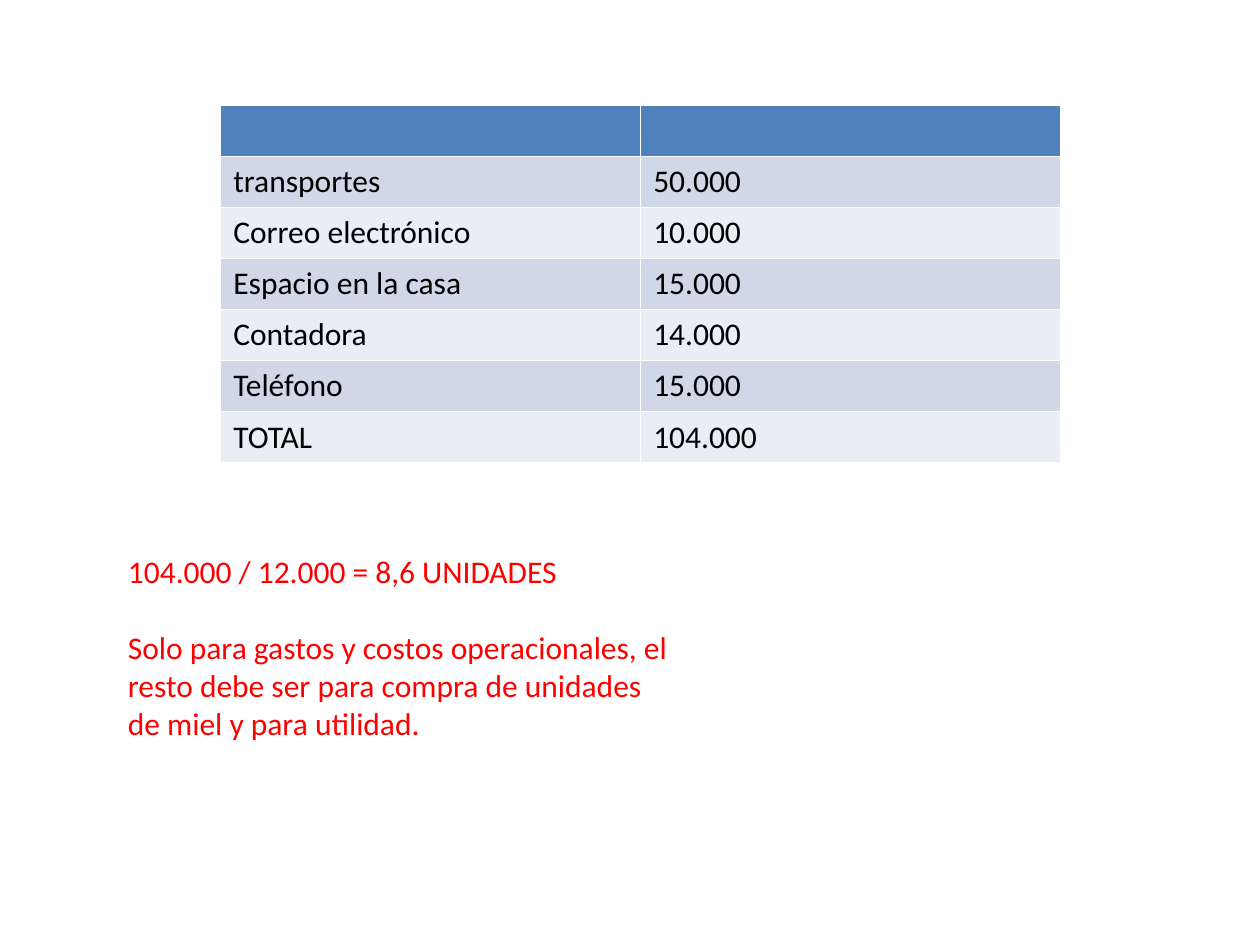
from dataclasses import dataclass
from pptx import Presentation
from pptx import util as u
from pptx.dml import color as c


@dataclass(frozen=True)
class Theme:
    font: str = "Calibri"
    size: int = 18
    gap: int = 22
    ink: str = "000000"
    note: str = "FF0000"
    head: str = "4F81BD"
    bands: tuple = ("D0D8E8", "E9EDF4")


THEME = Theme()
COSTS = [
    ("", ""),
    ("transportes", "50.000"),
    ("Correo electrónico", "10.000"),
    ("Espacio en la casa", "15.000"),
    ("Contadora", "14.000"),
    ("Teléfono", "15.000"),
    ("TOTAL", "104.000"),
]
NOTES = [
    "104.000 / 12.000 = 8,6 UNIDADES",
    "Solo para gastos y costos operacionales, el resto debe ser "
    "para compra de unidades de miel y para utilidad.",
]


def write(para, text, color=THEME.ink, size=THEME.size, before=0):
    para.space_before = u.Pt(before)
    para.font.size = u.Pt(size)
    if text:
        run = para.add_run()
        run.text = text
        run.font.name = THEME.font
        run.font.size = u.Pt(size)
        run.font.color.rgb = c.RGBColor.from_string(color)


def add_costs(slide, rows, left, top, width, height):
    frame = slide.shapes.add_table(
        len(rows), len(rows[0]), u.Cm(left), u.Cm(top), u.Cm(width), u.Cm(height)
    )
    for i, row in enumerate(rows):
        fill = THEME.bands[(i - 1) % 2] if i else THEME.head
        for j, text in enumerate(row):
            cell = frame.table.cell(i, j)
            cell.fill.solid()
            cell.fill.fore_color.rgb = c.RGBColor.from_string(fill)
            write(cell.text_frame.paragraphs[0], text)


def add_notes(slide, lines, left, top, width, height):
    box = slide.shapes.add_textbox(u.Cm(left), u.Cm(top), u.Cm(width), u.Cm(height))
    frame = box.text_frame
    frame.word_wrap = True
    for i, line in enumerate(lines):
        para = frame.add_paragraph() if i else frame.paragraphs[0]
        write(para, line, color=THEME.note, before=THEME.gap if i else 0)


def main():
    deck = Presentation()
    deck.slide_width, deck.slide_height = u.Cm(25.4), u.Cm(19.05)
    slide = deck.slides.add_slide(deck.slide_layouts[6])
    add_costs(slide, COSTS, 4.45, 2.12, 16.93, 7.21)
    add_notes(slide, NOTES, 2.33, 11, 11.43, 4.11)
    deck.save("out.pptx")


if __name__ == "__main__":
    main()
